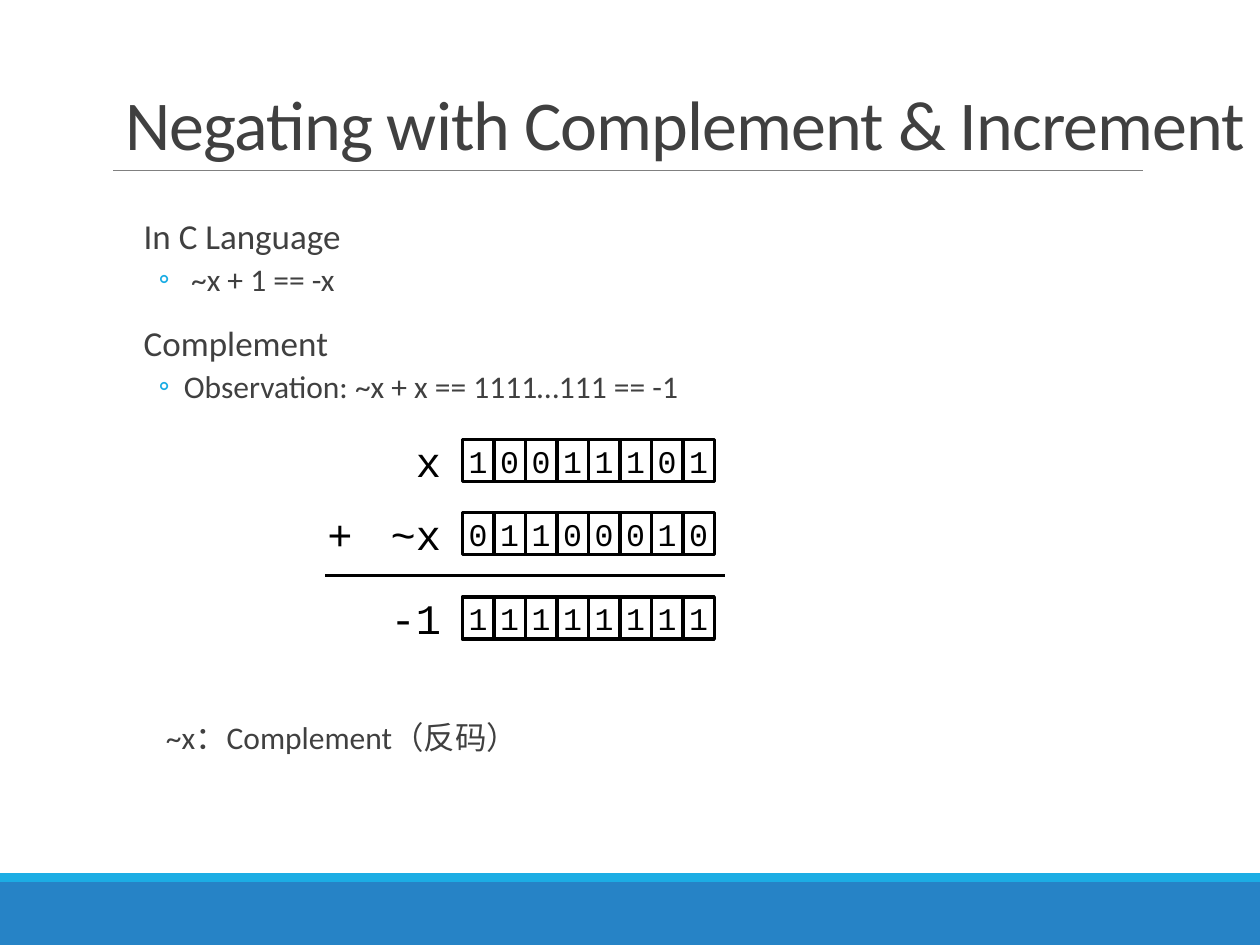
from lxml.etree import SubElement
from pptx import Presentation
from pptx.dml.color import RGBColor
from pptx.enum.shapes import MSO_CONNECTOR, MSO_SHAPE
from pptx.enum.text import MSO_ANCHOR, PP_ALIGN
from pptx.oxml.ns import qn
from pptx.util import Pt

COLORS = {
    "text": "404040",
    "accent": "1CADE4",
    "footer": "2683C6",
    "rule": "808080",
    "ink": "000000",
    "cell": "FFFFFF",
}


def color(name):
    return RGBColor.from_string(COLORS[name])


def write(shape, text, size, font_name, color_name, align=PP_ALIGN.LEFT, wrap=False):
    frame = shape.text_frame
    frame.word_wrap = wrap
    frame.text = text
    for paragraph in frame.paragraphs:
        paragraph.alignment = align
        for run in paragraph.runs:
            run.font.size = Pt(size)
            run.font.name = font_name
            run.font.color.rgb = color(color_name)
    return frame


presentation = Presentation()
presentation.slide_width = Pt(720)
presentation.slide_height = Pt(540)
slide = presentation.slides.add_slide(presentation.slide_layouts[6])
shapes = slide.shapes

for top, height, fill in [(504, 36, "footer"), (499, 5, "accent")]:
    band = shapes.add_shape(MSO_SHAPE.RECTANGLE, 0, Pt(top), Pt(720), Pt(height))
    band.shadow.inherit = False
    band.fill.solid()
    band.fill.fore_color.rgb = color(fill)
    band.line.fill.background()

rules = [(64.8, 653, 97.2, "rule", 0.5), (185.8, 414, 329, "ink", 2)]
for left, right, top, line_color, width in rules:
    rule = shapes.add_connector(
        MSO_CONNECTOR.STRAIGHT, Pt(left), Pt(top), Pt(right), Pt(top)
    )
    rule.line.color.rgb = color(line_color)
    rule.line.width = Pt(width)
    SubElement(rule._element.spPr, qn("a:effectLst"))

title = shapes.add_textbox(Pt(64.8), Pt(22.3), Pt(655.2), Pt(75.6))
title_frame = write(
    title, "Negating with Complement & Increment", 40, "Calibri", "text", wrap=True
)
title_frame.vertical_anchor = MSO_ANCHOR.BOTTOM
title_frame.paragraphs[0].line_spacing = 0.85
title_frame.paragraphs[0].runs[0]._r.get_or_add_rPr().set("spc", "-50")

body = shapes.add_textbox(Pt(74.9), Pt(121.7), Pt(579.6), Pt(120))
body_frame = body.text_frame
body_frame.word_wrap = True
body_frame.margin_left = body_frame.margin_right = 0
body_lines = [
    ("In C Language", 0, 7.2),
    ("~x + 1 == -x", 1, 34.3),
    ("Complement", 0, 7.2),
    ("Observation: ~x + x == 1111…111 == -1", 1, 30.2),
]
for index, (text, level, indent) in enumerate(body_lines):
    paragraph = body_frame.paragraphs[0] if index == 0 else body_frame.add_paragraph()
    paragraph.text = text
    paragraph.level = level
    paragraph.line_spacing = 0.9
    paragraph.space_before = Pt(2 if level else 12 if index else 0)
    paragraph.space_after = Pt(4 if level else 2)
    properties = paragraph._p.get_or_add_pPr()
    properties.set("marL", str(Pt(indent)))
    if level:
        properties.set("indent", str(Pt(15.8 - indent)))
        bullet_color = SubElement(properties, qn("a:buClr"))
        SubElement(bullet_color, qn("a:srgbClr")).set("val", COLORS["accent"])
        SubElement(properties, qn("a:buFont")).set("typeface", "Calibri")
        SubElement(properties, qn("a:buChar")).set("char", "◦")
    font = paragraph.runs[0].font
    font.size = Pt(18 if level else 20)
    font.name = "Calibri"
    font.color.rgb = color("text")

bit_rows = [
    ("x", "10011101", 251.3),
    ("~x", "01100010", 293),
    ("-1", "11111111", 341.3),
]
for label, bits, top in bit_rows:
    label_box = shapes.add_textbox(Pt(216), Pt(top - 6.2), Pt(43.2), Pt(36))
    write(label_box, label, 24, "Courier New", "ink", PP_ALIGN.RIGHT)
    for column, bit in enumerate(bits):
        cell = shapes.add_shape(
            MSO_SHAPE.RECTANGLE, Pt(264.2 + 18 * column), Pt(top), Pt(18), Pt(23.8)
        )
        cell.shadow.inherit = False
        cell.fill.solid()
        cell.fill.fore_color.rgb = color("cell")
        cell.line.color.rgb = color("ink")
        cell.line.width = Pt(2)
        cell_frame = write(cell, bit, 18, "Courier New", "ink", PP_ALIGN.CENTER)
        cell_frame.vertical_anchor = MSO_ANCHOR.MIDDLE

plus = shapes.add_textbox(Pt(180), Pt(286.8), Pt(28.8), Pt(36))
write(plus, "+", 24, "Courier New", "ink")

note = shapes.add_textbox(Pt(94.8), Pt(409), Pt(400), Pt(30))
note_frame = write(note, "~x：Complement（反码）", 18, "Calibri", "text", wrap=True)
note_frame.margin_left = note_frame.margin_right = 0
note_frame.paragraphs[0].line_spacing = 0.9

presentation.save("out.pptx")
